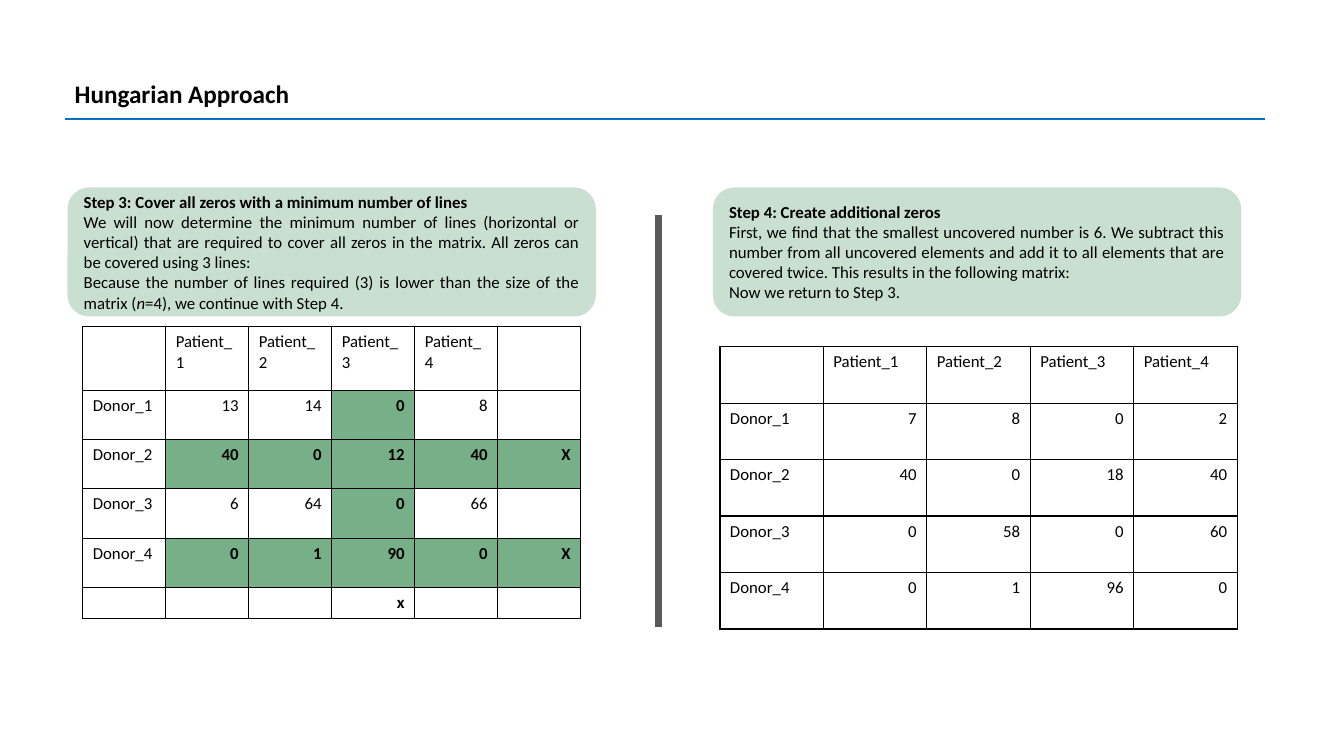
from lxml import etree
from pptx import Presentation
from pptx import util as u
from pptx.dml.color import RGBColor
from pptx.enum import shapes, text
from pptx.oxml.ns import qn

C = {"black": "000000", "white": "FFFFFF", "rule": "0070C0",
     "divider": "595959", "box": "C9DFCF", "covered": "77AF88"}
FONT = "Calibri"
TITLE = "Hungarian Approach"
STEPS = [
    (0.67, [
        [("Step 3: Cover all zeros with a minimum number of lines", {"bold": True})],
        [("We will now determine the minimum number of lines (horizontal or vertical) that are "
          "required to cover all zeros in the matrix. All zeros can be covered using 3 lines:", {})],
        [("Because the number of lines required (3) is lower than the size of the matrix (", {}),
         ("n", {"italic": True}), ("=4), we continue with Step 4.", {})],
    ]),
    (7.07, [
        [("Step 4: Create additional zeros", {"bold": True})],
        [("First, we find that the smallest uncovered number is 6. We subtract this number from "
          "all uncovered elements and add it to all elements that are covered twice. "
          "This results in the following matrix:", {})],
        [("Now we return to Step 3.", {})],
    ]),
]
PATIENTS = ["", "Patient_1", "Patient_2", "Patient_3", "Patient_4"]
COVERED_MATRIX = [
    PATIENTS + [""],
    ["Donor_1", "13", "14", "0", "8", ""],
    ["Donor_2", "40", "0", "12", "40", "X"],
    ["Donor_3", "6", "64", "0", "66", ""],
    ["Donor_4", "0", "1", "90", "0", "X"],
    ["", "", "", "x", "", ""],
]
NEW_MATRIX = [
    PATIENTS,
    ["Donor_1", "7", "8", "0", "2"],
    ["Donor_2", "40", "0", "18", "40"],
    ["Donor_3", "0", "58", "0", "60"],
    ["Donor_4", "0", "1", "96", "0"],
]
LINES = [
    ((6.53, 2.13, 6.53, 6.22), "divider", 4.5),
    ((0.64, 1.18, 12.55, 1.18), "rule", 1.5),
]


def rgb(name):
    return RGBColor.from_string(C[name])


def add_text(p, content, size=12, bold=False, italic=False, align=None):
    if align is not None:
        p.alignment = align
    r = p.add_run()
    r.text = content
    f = r.font
    f.name, f.size, f.bold, f.italic = FONT, u.Pt(size), bold, italic
    f.color.rgb = rgb("black")


def add_line(s, ends, color, width):
    ln = s.shapes.add_connector(shapes.MSO_CONNECTOR.STRAIGHT, *map(u.Inches, ends))
    ln.line.color.rgb = rgb(color)
    ln.line.width = u.Pt(width)
    etree.SubElement(ln._element.spPr, qn("a:effectLst"))


def add_borders(cell):
    tcPr = cell._tc.get_or_add_tcPr()
    for i, side in enumerate(("lnL", "lnR", "lnT", "lnB")):
        ln = etree.Element(qn("a:" + side), w=str(u.Pt(1)))
        fill = etree.SubElement(ln, qn("a:solidFill"))
        etree.SubElement(fill, qn("a:srgbClr"), val=C["black"])
        tcPr.insert(i, ln)


def add_matrix(s, rows, left, top, width, heights, cover_rows=(), cover_cols=()):
    n = len(rows[0])
    tb = s.shapes.add_table(len(rows), n, u.Inches(left), u.Inches(top),
                            u.Inches(width), u.Inches(sum(heights))).table
    tb.first_row = tb.horz_banding = False
    for col in tb.columns:
        col.width = u.Inches(width / n)
    for i, (row, height) in enumerate(zip(rows, heights)):
        tb.rows[i].height = u.Inches(height)
        for j, value in enumerate(row):
            covered = (i in cover_rows and j > 0) or (j in cover_cols and 0 < i < 5)
            cell = tb.cell(i, j)
            cell.fill.solid()
            cell.fill.fore_color.rgb = rgb("covered" if covered else "white")
            add_borders(cell)
            p = cell.text_frame.paragraphs[0]
            if value:
                add_text(p, value, bold=covered or value == "x",
                         align=text.PP_ALIGN.RIGHT if i and j else text.PP_ALIGN.LEFT)
            else:
                etree.SubElement(p._p, qn("a:endParaRPr"), sz="1200")


def add_step(s, left, paragraphs):
    sp = s.shapes.add_shape(shapes.MSO_SHAPE.ROUNDED_RECTANGLE, u.Inches(left),
                            u.Inches(1.86), u.Inches(5.24), u.Inches(1.28))
    sp.shadow.inherit = False
    sp.fill.solid()
    sp.fill.fore_color.rgb = rgb("box")
    sp.line.fill.background()
    tf = sp.text_frame
    tf.word_wrap = True
    tf.vertical_anchor = text.MSO_ANCHOR.MIDDLE
    for i, runs in enumerate(paragraphs):
        p = tf.add_paragraph() if i else tf.paragraphs[0]
        for content, fmt in runs:
            add_text(p, content, align=text.PP_ALIGN.JUSTIFY, **fmt)


def main():
    prs = Presentation()
    prs.slide_width, prs.slide_height = u.Inches(13.33), u.Inches(7.5)
    s = prs.slides.add_slide(prs.slide_layouts[5])

    title = s.shapes.title
    title.left, title.top = u.Inches(0.64), u.Inches(0.73)
    title.width, title.height = u.Inches(10.51), u.Inches(0.4)
    tf = title.text_frame
    tf.auto_size = text.MSO_AUTO_SIZE.NONE
    tf.vertical_anchor = text.MSO_ANCHOR.TOP
    add_text(tf.paragraphs[0], TITLE, size=18, bold=True, align=text.PP_ALIGN.LEFT)

    for line in LINES:
        add_line(s, *line)
    add_matrix(s, COVERED_MATRIX, 0.82, 3.24, 4.94, [0.63] + [0.49] * 4 + [0.3],
               cover_rows=(2, 4), cover_cols=(3,))
    add_matrix(s, NEW_MATRIX, 7.14, 3.44, 5.13, [0.56] * 5)
    for left, paragraphs in STEPS:
        add_step(s, left, paragraphs)
    prs.save("out.pptx")


if __name__ == "__main__":
    main()
